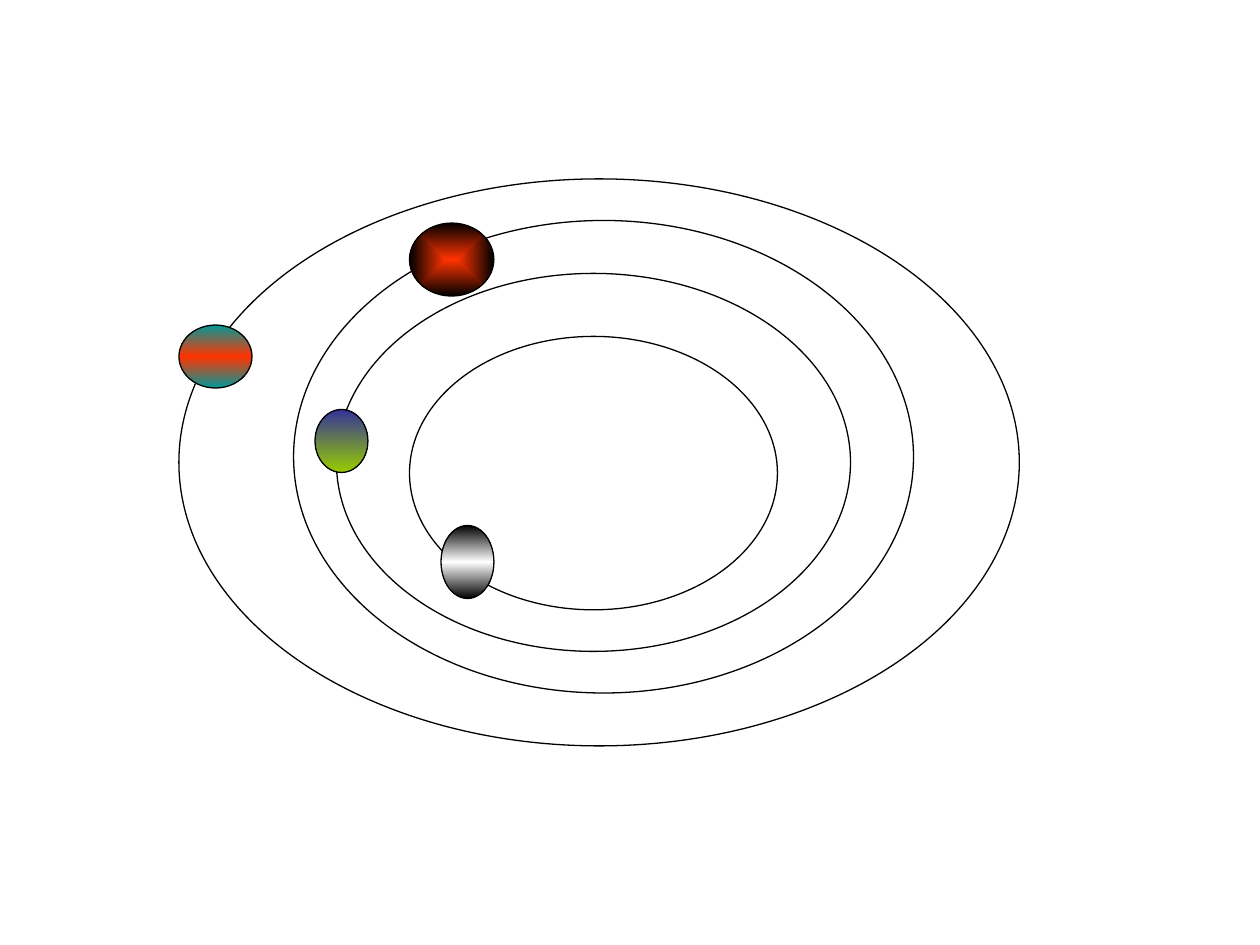
from dataclasses import dataclass

from pptx import Presentation
from pptx.dml.color import RGBColor
from pptx.enum.shapes import MSO_SHAPE as Shape
from pptx.oxml import parse_xml
from pptx.oxml.ns import nsdecls, qn
from pptx.util import Inches, Pt

DOWN = '<a:lin ang="5400000" scaled="1"/>'
CENTRE = ('<a:path path="rect">'
          '<a:fillToRect l="50000" t="50000" r="50000" b="50000"/></a:path>')


@dataclass
class Oval:
    """An orbit, or a planet when it has evenly spaced gradient colours."""
    left: float
    top: float
    width: float
    height: float
    hues: tuple[str, ...] = ()
    flow: str = DOWN


OVALS = [
    Oval(2.33, 1.75, 4.92, 3.75),
    Oval(3.25, 1.77, 0.67, 0.58, ("FF3300", "000000"), CENTRE),
    Oval(1.42, 1.42, 6.67, 4.5),
    Oval(2.67, 2.17, 4.08, 3),
    Oval(1.42, 2.58, 0.58, 0.5, ("009999", "FF3300", "009999")),
    Oval(2.5, 3.25, 0.42, 0.5, ("333399", "99CC00")),
    Oval(3.25, 2.67, 2.92, 2.17),
    Oval(3.5, 4.17, 0.42, 0.58, ("000000", "FFFFFF", "000000")),
]


def paint(fmt, hue: str) -> None:
    fmt.solid()
    fmt.fore_color.rgb = RGBColor.from_string(hue)


def shade(shape, hues: tuple[str, ...], flow: str) -> None:
    """Fill the shape with a gradient."""
    step = 100000 // (len(hues) - 1)
    stops = "".join(
        f'<a:gs pos="{i * step}"><a:srgbClr val="{hue}"/></a:gs>'
        for i, hue in enumerate(hues))
    grad = parse_xml(f'<a:gradFill {nsdecls("a")} rotWithShape="1">'
                     f'<a:gsLst>{stops}</a:gsLst>{flow}</a:gradFill>')
    shape.element.spPr.find(qn("a:prstGeom")).addnext(grad)


def draw(slide, oval: Oval) -> None:
    box = (oval.left, oval.top, oval.width, oval.height)
    shape = slide.shapes.add_shape(Shape.OVAL, *map(Inches, box))
    shape.shadow.inherit = False
    paint(shape.line.fill, "000000")
    shape.line.width = Pt(0.75)
    if oval.hues:
        shade(shape, oval.hues, oval.flow)
    else:
        shape.fill.background()


def main() -> None:
    deck = Presentation()
    deck.slide_width, deck.slide_height = Inches(10), Inches(7.5)
    slide = deck.slides.add_slide(deck.slide_layouts[6])
    paint(slide.background.fill, "FFFFFF")
    for oval in OVALS:
        draw(slide, oval)
    deck.save("out.pptx")


if __name__ == "__main__":
    main()
